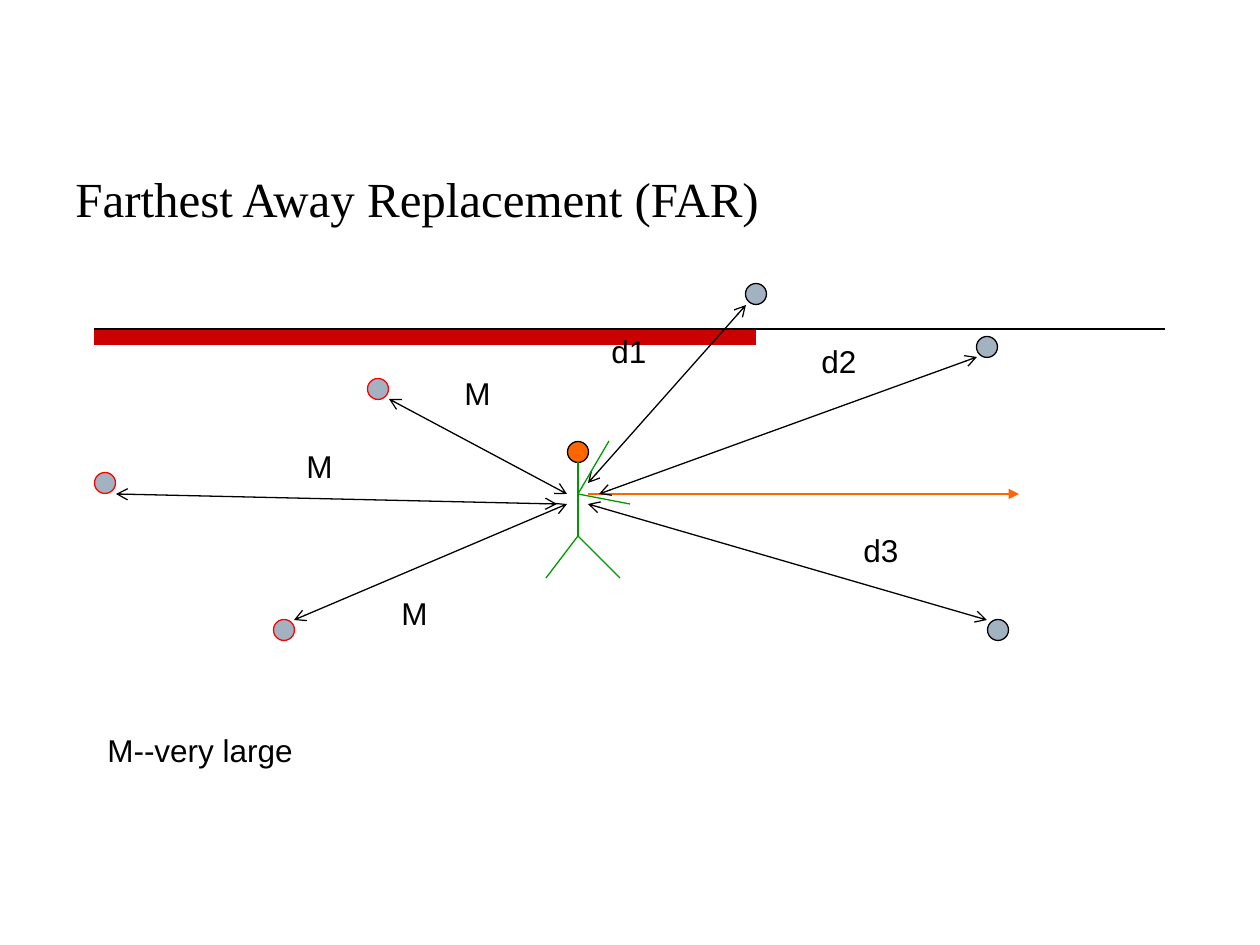
from lxml.etree import SubElement
from pptx import Presentation
from pptx.dml.color import RGBColor
from pptx.enum.shapes import MSO_CONNECTOR, MSO_SHAPE
from pptx.enum.text import MSO_ANCHOR, MSO_AUTO_SIZE
from pptx.oxml.ns import qn
from pptx.util import Pt

SCALE = 914400 / 126  # EMU in one px
PAGE = (1260, 945)
THEME = {
    "black": "000000", "bar": "CC0000", "node": "A3B2C1", "far": "FF0000",
    "accent": "FF6600", "figure": "009900",
    "title": {"name": "Times New Roman", "size": Pt(28)},
    "label": {"name": "Arial", "size": Pt(18)},
    "line": Pt(0.75),
}

# Content: places in px
TITLE = ("Farthest Away Replacement (FAR)", (63, 147, 714, 158))
BAR = (94, 329, 662, 16)
RULE = (94, 329, 1165, 329)
DIAMETER = 21
CIRCLES = [  # centre, fill, outline
    ((105, 483), "node", "far"),
    ((284, 630), "node", "far"),
    ((378, 389), "node", "far"),
    ((756, 294), "node", "black"),
    ((998, 630), "node", "black"),
    ((987, 347), "node", "black"),
    ((578, 452), "accent", "black"),
]
HEADING = (588, 494, 1019, 494)
DISTANCES = [
    (588, 483, 746, 305),
    (599, 494, 977, 357),
    (588, 504, 987, 620),
    (567, 494, 389, 399),
    (116, 494, 557, 504),
    (567, 504, 294, 620),
]
HIP, SHOULDER = (578, 536), (578, 494)
LIMBS = [
    (578, 462, *HIP),
    (*HIP, 546, 578),
    (*HIP, 620, 578),
    (*SHOULDER, 630, 504),
    (*SHOULDER, 609, 441),
]
LABEL_HEIGHT = 50
LABELS = [  # text, left, top, width
    ("d1", 599, 326, 63),
    ("d2", 809, 336, 63),
    ("d3", 851, 525, 63),
    ("M", 452, 368, 63),
    ("M", 294, 441, 63),
    ("M", 389, 588, 63),
    ("M--very large", 95, 725, 252),
]


def emu(*lengths):
    return [round(length * SCALE) for length in lengths]


def color(name):
    return RGBColor.from_string(THEME[name])


def add_solid(page, kind, place, fill, outline=None):
    shape = page.shapes.add_shape(kind, *emu(*place))
    shape.shadow.inherit = False
    shape.fill.solid()
    shape.fill.fore_color.rgb = color(fill)
    if outline:
        shape.line.color.rgb = color(outline)
        shape.line.width = THEME["line"]
    else:
        shape.line.fill.background()


def add_line(page, ends, name, head=None, tail=None):
    connector = page.shapes.add_connector(MSO_CONNECTOR.STRAIGHT, *emu(*ends))
    connector.line.color.rgb = color(name)
    connector.line.width = THEME["line"]
    properties = connector.line._get_or_add_ln()
    for tag, arrow in (("a:headEnd", head), ("a:tailEnd", tail)):
        if arrow:
            SubElement(properties, qn(tag), type=arrow)
    SubElement(connector._element.spPr, qn("a:effectLst"))


def add_text(page, text, place, style, **frame_format):
    frame = page.shapes.add_textbox(*emu(*place)).text_frame
    for key, value in {"word_wrap": True, **frame_format}.items():
        setattr(frame, key, value)
    span = frame.paragraphs[0].add_run()
    span.text = text
    for key, value in THEME[style].items():
        setattr(span.font, key, value)
    span.font.color.rgb = color("black")


def main():
    deck = Presentation()
    deck.slide_width, deck.slide_height = emu(*PAGE)
    page = deck.slides.add_slide(deck.slide_layouts[6])

    # Header: the deep bottom margin lifts the title above the box centre
    add_solid(page, MSO_SHAPE.RECTANGLE, BAR, "bar")
    add_line(page, RULE, "black")
    add_text(page, *TITLE, "title", vertical_anchor=MSO_ANCHOR.MIDDLE,
             margin_bottom=emu(62)[0])

    # Nodes and the figure's head
    for (x, y), fill, outline in CIRCLES:
        place = (x - DIAMETER / 2, y - DIAMETER / 2, DIAMETER, DIAMETER)
        add_solid(page, MSO_SHAPE.OVAL, place, fill, outline)

    # Heading, distances and limbs
    add_line(page, HEADING, "accent", tail="triangle")
    for ends in DISTANCES:
        add_line(page, ends, "black", head="arrow", tail="arrow")
    for ends in LIMBS:
        add_line(page, ends, "figure")

    # Labels
    for text, left, top, width in LABELS:
        add_text(page, text, (left, top, width, LABEL_HEIGHT), "label",
                 auto_size=MSO_AUTO_SIZE.SHAPE_TO_FIT_TEXT)

    deck.save("out.pptx")


if __name__ == "__main__":
    main()
